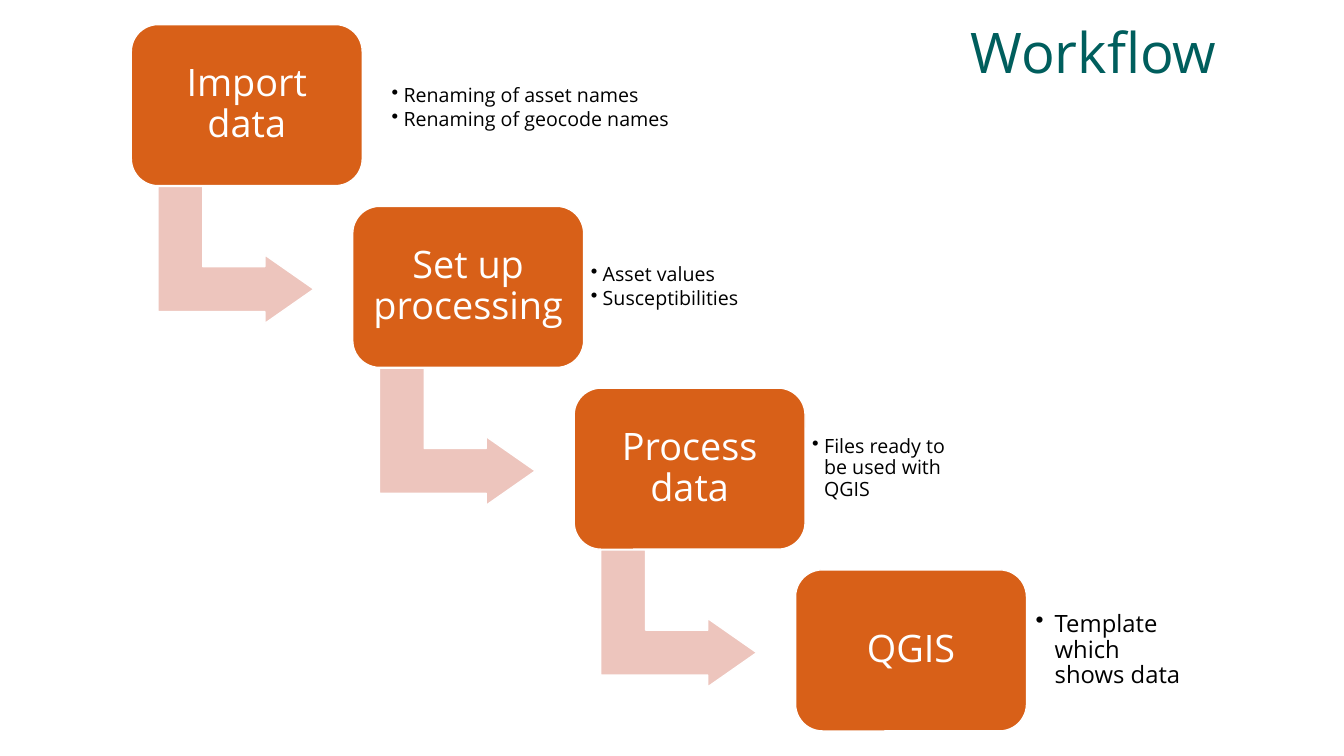
from dataclasses import dataclass

from lxml import etree
from pptx import Presentation
from pptx import util as u
from pptx.dml.color import RGBColor
from pptx.enum import shapes, text
from pptx.oxml.ns import qn


@dataclass(frozen=True)
class Theme:
    font: str = "Open Sans"
    title: RGBColor = RGBColor(0x00, 0x5E, 0x5D)
    step: RGBColor = RGBColor(0xD8, 0x60, 0x18)
    arrow: RGBColor = RGBColor(0xED, 0xC5, 0xBD)
    white: RGBColor = RGBColor(0xFF, 0xFF, 0xFF)
    black: RGBColor = RGBColor(0x00, 0x00, 0x00)
    title_size: int = 40
    step_size: int = 27
    note_size: int = 14
    large_note_size: int = 17


theme = Theme()


def set_font(para, size, colour):
    para.font.name = theme.font
    para.font.size = u.Pt(size)
    para.font.color.rgb = colour


def prepare_frame(frame, inset, anchor):
    frame.word_wrap = True
    frame.vertical_anchor = anchor
    frame.margin_left = frame.margin_right = u.Cm(inset)
    frame.margin_top = frame.margin_bottom = u.Cm(inset)


deck = Presentation()
deck.slide_width, deck.slide_height = u.Cm(33.87), u.Cm(19.05)
page = deck.slides.add_slide(deck.slide_layouts[6])

# Title
title = page.shapes.add_textbox(u.Cm(24.46), u.Cm(0.51), u.Cm(13.06), u.Cm(2.9))
prepare_frame(title.text_frame, 0, text.MSO_ANCHOR.TOP)
para = title.text_frame.paragraphs[0]
para.text = "Workflow"
para.line_spacing = u.Pt(46)
set_font(para, theme.title_size, theme.title)

# Steps: name, notes, then note offset, drop, width, size, indent and inset
narrow = (5.82, 0.38, 4.24, theme.note_size, 0.3, 0.18)
steps = [
    ("Import data", ["Renaming of asset names", "Renaming of geocode names"],
     (6.38, 0.46, 7.39, theme.note_size, 0.3, 0.18)),
    ("Set up processing", ["Asset values", "Susceptibilities"], narrow),
    ("Process data", ["Files ready to be used with QGIS"], narrow),
    ("QGIS", ["Template which shows data"],
     (5.82, 0.38, 4.24, theme.large_note_size, 0.48, 0.23)),
]
first_left, first_top = 3.31, 0.62
step_right, step_down = 5.58, 4.58
box_width, box_height = 5.82, 4.06

for index, (name, notes, note_layout) in enumerate(steps):
    left = first_left + index * step_right
    top = first_top + index * step_down

    # Arrow to the next step
    parts = []
    if index < len(steps) - 1:
        arrow = page.shapes.add_shape(
            shapes.MSO_SHAPE.BENT_UP_ARROW,
            u.Cm(left + 0.91), u.Cm(top + 3.84), u.Cm(3.45), u.Cm(3.93))
        arrow.rotation = 90
        for place, value in enumerate((0.328, 0.25, 0.358)):
            arrow.adjustments[place] = value
        parts.append((arrow, theme.arrow))

    # Step box
    box = page.shapes.add_shape(
        shapes.MSO_SHAPE.ROUNDED_RECTANGLE,
        u.Cm(left), u.Cm(top), u.Cm(box_width), u.Cm(box_height))
    box.adjustments[0] = 0.167
    parts.append((box, theme.step))
    for part, colour in parts:
        part.shadow.inherit = False
        part.fill.solid()
        part.fill.fore_color.rgb = colour
        part.line.color.rgb = theme.white
        part.line.width = u.Pt(1)

    prepare_frame(box.text_frame, 0.27, text.MSO_ANCHOR.MIDDLE)
    para = box.text_frame.paragraphs[0]
    para.text = name
    para.alignment = text.PP_ALIGN.CENTER
    para.line_spacing = 0.9
    set_font(para, theme.step_size, theme.white)

    # Bulleted notes
    offset, drop, width, size, indent, inset = note_layout
    note_box = page.shapes.add_textbox(
        u.Cm(left + offset), u.Cm(top + drop), u.Cm(width), u.Cm(3.3))
    frame = note_box.text_frame
    prepare_frame(frame, inset, text.MSO_ANCHOR.MIDDLE)
    for number, note in enumerate(notes):
        para = frame.add_paragraph() if number else frame.paragraphs[0]
        para.text = note
        para.level = 1
        para.line_spacing = 0.9
        para.space_after = u.Pt(2)
        properties = para._p.get_or_add_pPr()
        properties.set("marL", str(u.Cm(indent)))
        properties.set("indent", str(-u.Cm(indent)))
        etree.SubElement(properties, qn("a:buChar")).set("char", "•")
        set_font(para, size, theme.black)

deck.save("out.pptx")
